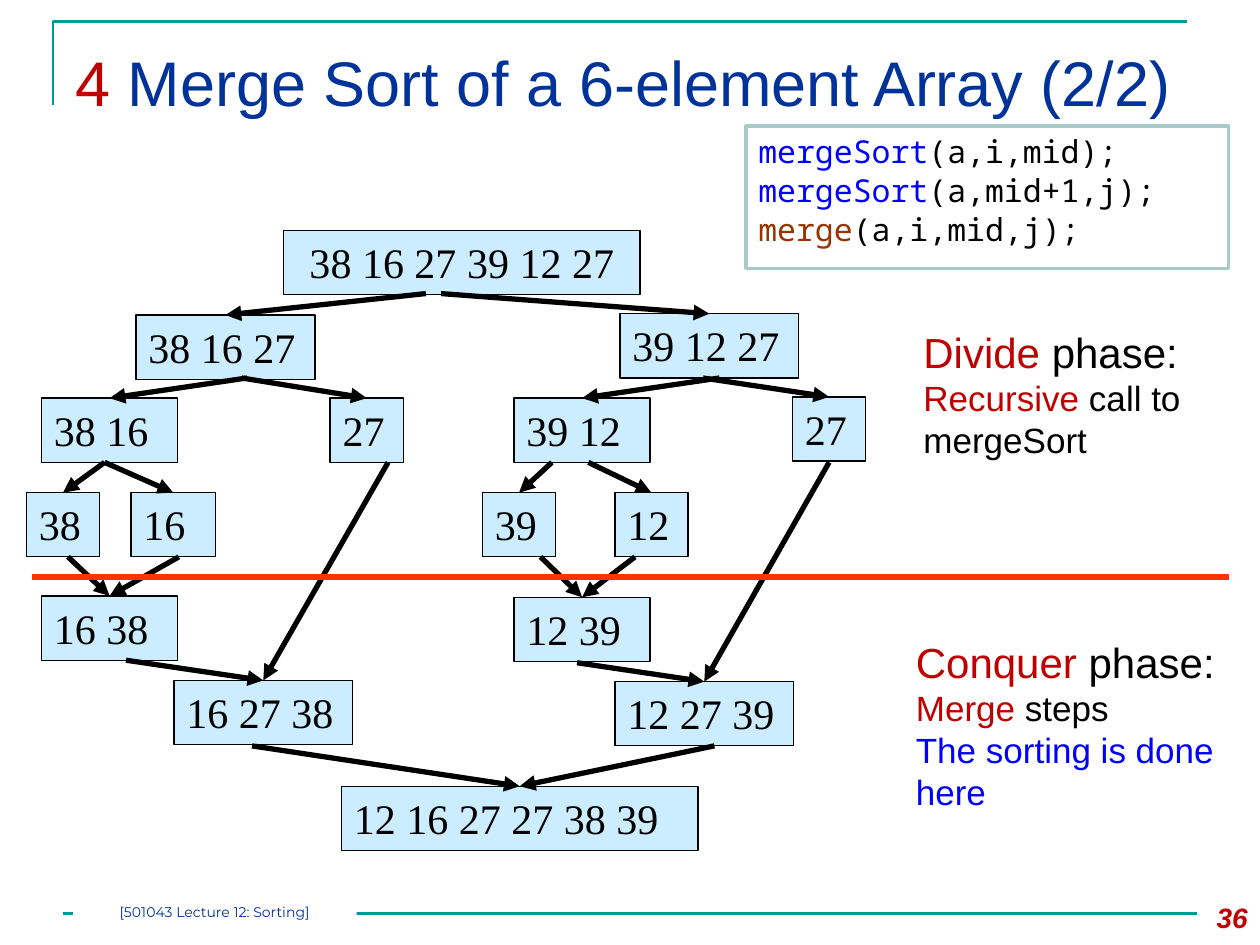
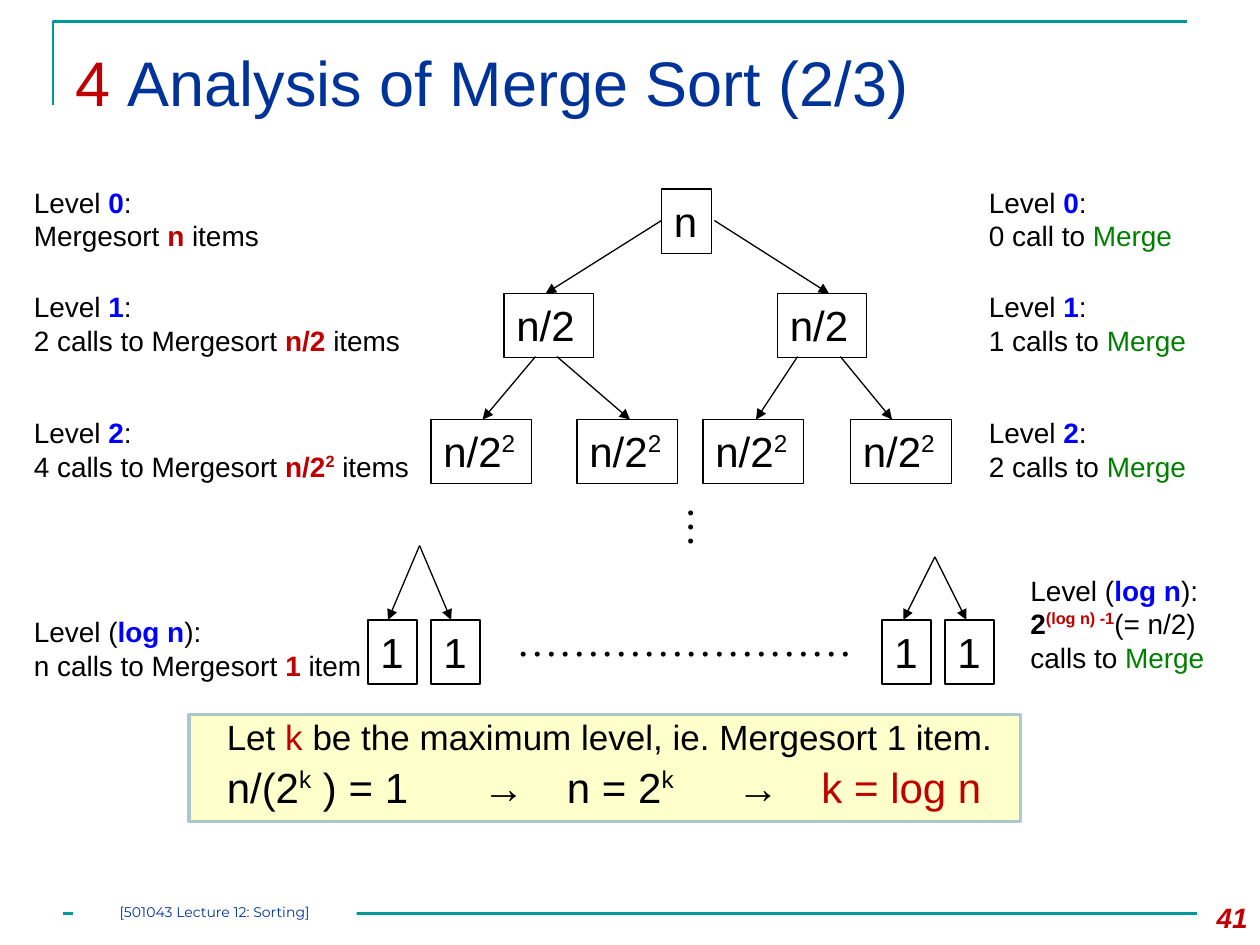
import pptx
import pptx.dml.color
import pptx.enum.shapes
import pptx.enum.text
import pptx.oxml
import pptx.oxml.ns
import pptx.util
from lxml import etree

Inches = pptx.util.Inches
Pt = pptx.util.Pt
RGBColor = pptx.dml.color.RGBColor
Align = pptx.enum.text.PP_ALIGN
qn = pptx.oxml.ns.qn

BLACK = RGBColor(0x00, 0x00, 0x00)
WHITE = RGBColor(0xFF, 0xFF, 0xFF)
TEAL = RGBColor(0x00, 0x99, 0x99)
NAVY = RGBColor(0x00, 0x33, 0x99)
RED = RGBColor(0xC0, 0x00, 0x00)
BLUE = RGBColor(0x00, 0x00, 0xFF)
GREEN = RGBColor(0x00, 0x80, 0x00)
BROWN = RGBColor(0x99, 0x33, 0x00)
ORANGE = RGBColor(0xFF, 0x33, 0x00)
PALE_BLUE = RGBColor(0xCC, 0xEC, 0xFF)
PALE_YELLOW = RGBColor(0xFF, 0xFF, 0xCC)
GREY_TEAL = RGBColor(0xAA, 0xCA, 0xCA)

SANS = "Arial"
SERIF = "Times New Roman"
MONO = "Noto Sans Mono"
BOX_HEIGHT = 0.51


def add_box(slide, place, paragraphs, font=SANS, fill=None, outline=None,
            outline_width=0.75, align=Align.LEFT, wrap=True):
    """Add a text box, or a rectangle if it is filled or outlined.

    A paragraph is (size, runs); a run is (text, colour, style), where style
    holds b for bold, i for italic and ^ for superscript.
    """
    place = [Inches(length) for length in place]
    if fill is None and outline is None:
        shape = slide.shapes.add_textbox(*place)
    else:
        shape = slide.shapes.add_shape(pptx.enum.shapes.MSO_SHAPE.RECTANGLE, *place)
        shape.shadow.inherit = False
        if fill is None:
            shape.fill.background()
        else:
            shape.fill.solid()
            shape.fill.fore_color.rgb = fill
        if outline is None:
            shape.line.fill.background()
        else:
            shape.line.color.rgb = outline
            shape.line.width = Pt(outline_width)
    frame = shape.text_frame
    frame.word_wrap = wrap
    frame.vertical_anchor = pptx.enum.text.MSO_ANCHOR.TOP
    for index, (size, runs) in enumerate(paragraphs):
        paragraph = frame.add_paragraph() if index else frame.paragraphs[0]
        paragraph.alignment = align
        for text, color, style in runs:
            run = paragraph.add_run()
            run.text = text
            run.font.name = font
            run.font.size = Pt(size)
            run.font.color.rgb = color
            run.font.bold = "b" in style
            run.font.italic = "i" in style
            if "^" in style:
                run.font._element.set("baseline", "36000")
    return shape


def add_line(slide, start, end, color=BLACK, width=0.75, arrow=True):
    points = [Inches(length) for length in (*start, *end)]
    line = slide.shapes.add_connector(pptx.enum.shapes.MSO_CONNECTOR.STRAIGHT, *points)
    line.line.color.rgb = color
    line.line.width = Pt(width)
    if arrow:
        etree.SubElement(line.line._get_or_add_ln(), qn("a:tailEnd"), type="triangle")
    etree.SubElement(line._element.spPr, qn("a:effectLst"))


presentation = pptx.Presentation()
presentation.slide_width = Inches(10)
presentation.slide_height = Inches(7.5)

# Shared frame, title, footer and page number
slides = []
for title, number in [("Merge Sort of a 6-element Array (2/2)", "36"),
                      ("Analysis of Merge Sort (2/3)", "41")]:
    slide = presentation.slides.add_slide(presentation.slide_layouts[6])
    slides.append(slide)
    builder = slide.shapes.build_freeform(Inches(0.42), Inches(0.83))
    builder.add_line_segments([(Inches(0.42), Inches(0.17)),
                               (Inches(9.42), Inches(0.17))], close=False)
    corner = builder.convert_to_shape()
    corner.shadow.inherit = False
    corner.fill.background()
    corner.line.color.rgb = TEAL
    corner.line.width = Pt(1.5)
    add_line(slide, (0.5, 7.25), (9.5, 7.25), TEAL, 1.5, arrow=False)
    add_box(slide, (0.5, 0.3, 9.17, 0.9), [(36, [("4 ", RED, ""), (title, NAVY, "")])])
    add_box(slide, (9.33, 7.1, 0.67, 0.4), [(16, [(number, RED, "bi")])],
            align=Align.RIGHT)
    footer = add_box(slide, (0.58, 7.17, 2.25, 0.17),
                     [(8, [("[501043 Lecture 12: Sorting]", NAVY, "")])],
                     font="Montserrat", fill=WHITE, align=Align.CENTER)
    frame = footer.text_frame
    frame.margin_left = frame.margin_right = frame.margin_top = frame.margin_bottom = 0

array_slide, analysis_slide = slides

# Slide 1: each array with the points its incoming arrows start from
arrays = [
    ("38 16 27 39 12 27", 2.25, 1.83, 2.83, []),
    ("38 16 27", 1.08, 2.5, 1.42, [(3.38, 2.33)]),
    ("39 12 27", 4.92, 2.49, 1.42, [(3.5, 2.33)]),
    ("38 16", 0.33, 3.16, 1.08, [(1.96, 3)]),
    ("27", 2.62, 3.16, 0.58, [(1.92, 3)]),
    ("39 12", 4.08, 3.16, 1.08, [(5.71, 3)]),
    ("27", 6.29, 3.15, 0.58, [(5.58, 3)]),
    ("38", 0.21, 3.91, 0.58, [(0.83, 3.67)]),
    ("16", 1.04, 3.91, 0.67, [(0.83, 3.67)]),
    ("39", 3.83, 3.91, 0.58, [(4.38, 3.67)]),
    ("12", 4.88, 3.91, 0.58, [(4.67, 3.67)]),
    ("16 38", 0.33, 4.73, 1.08, [(0.54, 4.42), (1.42, 4.42)]),
    ("12 39", 4.08, 4.74, 1.08, [(4.29, 4.42), (5.04, 4.42)]),
    ("16 27 38", 1.38, 5.4, 1.42, [(1, 5.24), (3.08, 3.67)]),
    ("12 27 39", 4.88, 5.41, 1.42, [(4.58, 5.26), (6.58, 3.67)]),
    ("12 16 27 27 38 39", 2.71, 6.24, 2.83, [(2, 5.92), (5.67, 5.92)]),
]
for numbers, left, top, width, arrow_starts in arrays:
    add_box(array_slide, (left, top, width, BOX_HEIGHT), [(24, [(numbers, BLACK, "")])],
            font=SERIF, fill=PALE_BLUE, outline=BLACK,
            align=Align.LEFT if arrow_starts else Align.CENTER)
    for start in arrow_starts:
        add_line(array_slide, start, (left + width / 2, top), width=3)

add_line(array_slide, (0.25, 4.58), (9.75, 4.58), ORANGE, 3, arrow=False)

calls = [("mergeSort", BLUE, "(a,i,mid);"), ("mergeSort", BLUE, "(a,mid+1,j);"),
         ("merge", BROWN, "(a,i,mid,j);")]
code = add_box(array_slide, (5.92, 1, 3.83, 1.13),
               [(18, [(name, color, ""), (arguments, BLACK, "")])
                for name, color, arguments in calls],
               font=MONO, fill=WHITE, outline=GREY_TEAL, outline_width=2)
for paragraph in code.text_frame.paragraphs[1:]:
    paragraph.space_before = Pt(0.5)

add_box(array_slide, (7.23, 2.54, 2.32, 1.17), [
    (24, [("Divide ", RED, ""), ("phase:", BLACK, "")]),
    (20, [("Recursive", RED, ""), (" call to", BLACK, "")]),
    (20, [("mergeSort", BLACK, "")]),
])
add_box(array_slide, (7.17, 5, 2.58, 1.5), [
    (24, [("Conquer ", RED, ""), ("phase:", BLACK, "")]),
    (20, [("Merge", RED, ""), (" steps", BLACK, "")]),
    (20, [("The sorting is done here", BLUE, "")]),
])

# Slide 2: recursion tree
half = [("n/2", BLACK, "")]
quarter = half + [("2", BLACK, "^")]
tree_rows = [
    (1.5, 0.4, [("n", BLACK, "")], [5.25]),
    (2.33, 0.71, half, [4, 6.17]),
    (3.33, 0.8, quarter, [3.42, 4.58, 5.58, 6.75]),
    (4.92, 0.39, [("1", BLACK, "")], [2.92, 3.42, 7, 7.5]),
]
for top, width, runs, lefts in tree_rows:
    for left in lefts:
        add_box(analysis_slide, (left, top, width, BOX_HEIGHT), [(24, runs)],
                outline=BLACK, wrap=False)

branches = [
    (1.75, 2.33, [(5.25, 4.33), (5.67, 6.58)]),
    (2.83, 3.33, [(4.25, 3.83), (4.42, 5), (6.33, 6), (6.67, 7.08)]),
    (4.33, 4.92, [(3.33, 3.08), (3.33, 3.58)]),
    (4.42, 4.92, [(7.42, 7.17), (7.42, 7.67)]),
]
for top, bottom, spans in branches:
    for start_x, end_x in spans:
        add_line(analysis_slide, (start_x, top), (end_x, bottom))

dots = add_box(analysis_slide, (5.25, 3.92, 0.6, 0.43), [(24, [("…", BLACK, "")])],
               font=SERIF, wrap=False)
dots.text_frame._txBody.bodyPr.set("vert", "eaVert")
add_box(analysis_slide, (4, 4.83, 2.87, 0.5), [(24, [("……………………", BLACK, "")])],
        font=SERIF, wrap=False)

# Level captions on both sides of the tree
levels = [
    (1.42, "0", "Mergesort ", [("n", RED, "b")], "0 call to "),
    (2.25, "1", "2 calls to Mergesort ", [("n/2", RED, "b")], "1 calls to "),
    (3.25, "2", "4 calls to Mergesort ", [("n/2", RED, "b"), ("2", RED, "b^")],
     "2 calls to "),
]
for top, level, sort_calls, item_count, merge_calls in levels:
    heading = (16, [("Level ", BLACK, ""), (level, BLUE, "b"), (":", BLACK, "")])
    add_box(analysis_slide, (0.17, top, 3.33, 0.64), [
        heading, (16, [(sort_calls, BLACK, ""), *item_count, (" items", BLACK, "")])])
    add_box(analysis_slide, (7.75, top, 1.92, 0.64), [
        heading, (16, [(merge_calls, BLACK, ""), ("Merge", GREEN, "")])])

last_heading = (16, [("Level (", BLACK, ""), ("log n", BLUE, "b"), ("):", BLACK, "")])
add_box(analysis_slide, (0.17, 4.83, 3.25, 0.64), [
    last_heading,
    (16, [("n calls to Mergesort ", BLACK, ""), ("1", RED, "b"), (" item", BLACK, "")]),
])
add_box(analysis_slide, (8.08, 4.5, 1.75, 0.9), [
    last_heading,
    (16, [("2", BLACK, "b"), ("(log n) -1", RED, "b^"),
          ("(= n/2) calls to ", BLACK, ""), ("Merge", GREEN, "")]),
])

# Conclusion, with the steps of the derivation set on tab stops
conclusion = add_box(analysis_slide, (1.5, 5.67, 6.6, 0.85), [
    (20, [("Let ", BLACK, ""), ("k ", RED, ""),
          ("be the maximum level, ie. Mergesort 1 item.", BLACK, "")]),
    (24, [("n/(2", BLACK, ""), ("k", BLACK, "^"), (" ) = 1\t→\tn = 2", BLACK, ""),
          ("k", BLACK, "^"), ("\t→\t", BLACK, ""), ("k = log n", RED, "")]),
], fill=PALE_YELLOW, outline=GREY_TEAL, outline_width=2)
conclusion.text_frame.margin_left = Inches(0.3)
statement, derivation = conclusion.text_frame.paragraphs
statement.line_spacing = derivation.line_spacing = 0.9
derivation.space_before = Pt(5)
tab_list = etree.SubElement(derivation._p.get_or_add_pPr(), qn("a:tabLst"))
for position in (2.03, 2.7, 4.05, 4.72):
    etree.SubElement(tab_list, qn("a:tab"), pos=str(Inches(position)), algn="l")

presentation.save("out.pptx")
